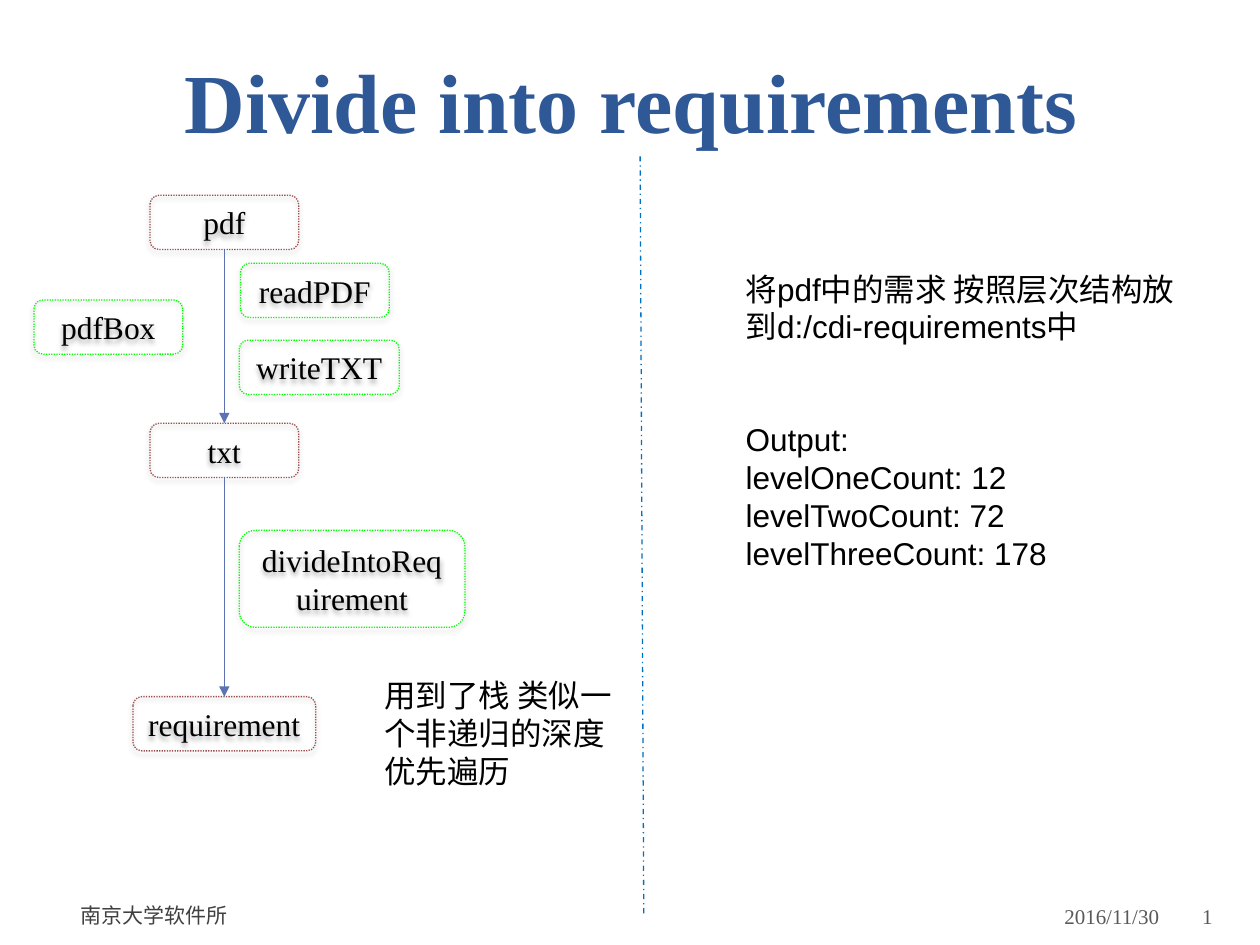
import pptx
import pptx.util
import pptx.dml.color
import pptx.enum.dml
import pptx.enum.shapes
import pptx.enum.text
import pptx.oxml
import pptx.oxml.ns
import lxml.etree

Pt = pptx.util.Pt
RGB = pptx.dml.color.RGBColor
DASH = pptx.enum.dml.MSO_LINE
ALIGN = pptx.enum.text.PP_ALIGN
ANCHOR = pptx.enum.text.MSO_ANCHOR
qn = pptx.oxml.ns.qn

NAVY = RGB(0x2F, 0x58, 0x97)
GRAY = RGB(0x59, 0x59, 0x59)
DARK = RGB(0x40, 0x40, 0x40)
BLACK = RGB(0, 0, 0)
BROWN = RGB(0x9A, 0x4E, 0x4E)
GREEN = RGB(0, 0xFF, 0)
STEEL = RGB(0x5C, 0x72, 0xB2)
BLUE = RGB(0, 0x70, 0xC0)
SERIF, SANS, HAN = "Times New Roman", "Arial", "Noto Sans CJK SC"
SHADOW = (
    '<a:outerShdw xmlns:a="http://schemas.openxmlformats.org/drawingml/2006/main"'
    ' blurRad="39370" dist="22860" dir="5400000" rotWithShape="0">'
    '<a:srgbClr val="000000"><a:alpha val="35000"/></a:srgbClr></a:outerShdw>'
)


def write(par, text, font, size, color, bold=False):
    """Add one styled run to a paragraph."""
    run = par.add_run()
    run.text = text
    run.font.name = font
    run.font.size = Pt(size)
    run.font.bold = bold
    run.font.color.rgb = color
    east = lxml.etree.SubElement(run.font._element, qn("a:ea"))
    east.set("typeface", HAN)


def add_text(slide, box, lines, font, size, color, align=ALIGN.LEFT,
             anchor=ANCHOR.TOP, bold=False, pads=(7.2, 3.6, 7.2, 3.6)):
    """Add a wrapped text box and return its paragraphs."""
    frame = slide.shapes.add_textbox(*map(Pt, box)).text_frame
    frame.word_wrap = True
    frame.vertical_anchor = anchor
    (frame.margin_left, frame.margin_top,
     frame.margin_right, frame.margin_bottom) = map(Pt, pads)
    for i, line in enumerate(lines):
        par = frame.add_paragraph() if i else frame.paragraphs[0]
        par.alignment = align
        write(par, line, font, size, color, bold)
    return frame.paragraphs


def add_line(slide, start, end, color, dash=None, arrow=False):
    """Draw a thin line, with an arrowhead at its end if wanted."""
    line = slide.shapes.add_connector(
        pptx.enum.shapes.MSO_CONNECTOR.STRAIGHT, *map(Pt, start + end))
    line.line.width = Pt(0.75)
    line.line.color.rgb = color
    if dash:
        line.line.dash_style = dash
    props = line._element.spPr
    if arrow:
        tail = lxml.etree.SubElement(props.find(qn("a:ln")), qn("a:tailEnd"))
        tail.set("type", "triangle")
    lxml.etree.SubElement(props, qn("a:effectLst"))


def add_node(slide, box, text, color):
    """Draw a dotted rounded box with a soft shadow."""
    node = slide.shapes.add_shape(
        pptx.enum.shapes.MSO_SHAPE.ROUNDED_RECTANGLE, *map(Pt, box))
    node.fill.background()
    node.line.color.rgb = color
    node.line.width = Pt(0.75)
    node.line.dash_style = DASH.ROUND_DOT
    node.shadow.inherit = False
    effect = node._element.spPr.find(qn("a:effectLst"))
    effect.append(pptx.oxml.parse_xml(SHADOW))
    frame = node.text_frame
    frame.word_wrap = True
    frame.vertical_anchor = ANCHOR.MIDDLE
    frame.paragraphs[0].alignment = ALIGN.CENTER
    write(frame.paragraphs[0], text, SERIF, 18, BLACK)


def add_title(slide, box):
    """Place the slide title."""
    pars = add_text(slide, box, ["Divide into requirements"], SERIF, 48, NAVY,
                    ALIGN.CENTER, ANCHOR.BOTTOM, True)
    pars[0].line_spacing = Pt(58)


def add_flow(slide, left, top):
    """Draw the files down one axis, the steps beside it and the note."""
    axis, tall = left + 108.8, 31
    files = [("pdf", 0, 85), ("txt", 130.3, 85), ("requirement", 286.5, 104.5)]
    steps = [("pdfBox", 0, 59.8, 85, tall), ("readPDF", 118, 38.9, 85, tall),
             ("writeTXT", 117.3, 82.8, 91.5, tall),
             ("divideIntoRequirement", 117.3, 191.5, 129, 55.4)]
    for name, y, wide in files:
        add_node(slide, (axis - wide / 2, top + y, wide, tall), name, BROWN)
    for name, x, y, wide, high in steps:
        add_node(slide, (left + x, top + y, wide, high), name, GREEN)
    for above, below in zip(files, files[1:]):
        add_line(slide, (axis, top + above[1] + tall), (axis, top + below[1]),
                 STEEL, arrow=True)
    add_text(slide, (left + 193, top + 271.4, 150.5, 72.7),
             ["用到了栈 类似一个非递归的深度优先遍历"], SANS, 18, BLACK)


def add_result(slide, box):
    """Place the goal and the counts below it."""
    counts = {"One": 12, "Two": 72, "Three": 178}
    lines = ["将pdf中的需求 按照层次结构放到d:/cdi-requirements中", "Output:"]
    lines += [f"level{name}Count: {count}" for name, count in counts.items()]
    pars = add_text(slide, box, lines, SANS, 18, BLACK)
    pars[1].space_before = Pt(43)


def add_footer(slide, top):
    """Place the institute, the date and the page number."""
    parts = [("南京大学软件所", 42.5, -0.7, 320.4, HAN, DARK, ALIGN.LEFT, 3.6, 7.2),
             ("2016/11/30", 501.8, 0, 164.2, SERIF, GRAY, ALIGN.RIGHT, 7.2, 3.6),
             ("1", 684.7, 0, 32.4, SERIF, GRAY, ALIGN.LEFT, 2.2, 3.6)]
    for text, x, y, wide, font, color, align, near, far in parts:
        add_text(slide, (x, top + y, wide, 28.8), [text], font, 12, color,
                 align, ANCHOR.MIDDLE, pads=(near, 3.6, far, 3.6))


def main():
    """Build and save the slide."""
    deck = pptx.Presentation()
    deck.slide_width, deck.slide_height = Pt(720), Pt(540)
    slide = deck.slides.add_slide(deck.slide_layouts[6])
    add_title(slide, (36.7, 6.5, 648, 82.8))
    add_footer(slide, 509)
    add_flow(slide, 19.4, 111.6)
    add_line(slide, (365.8, 89.3), (367.9, 522.7), BLUE, DASH.DASH_DOT)
    add_result(slide, (419, 150.5, 266.4, 181.4))
    deck.save("out.pptx")


if __name__ == "__main__":
    main()
